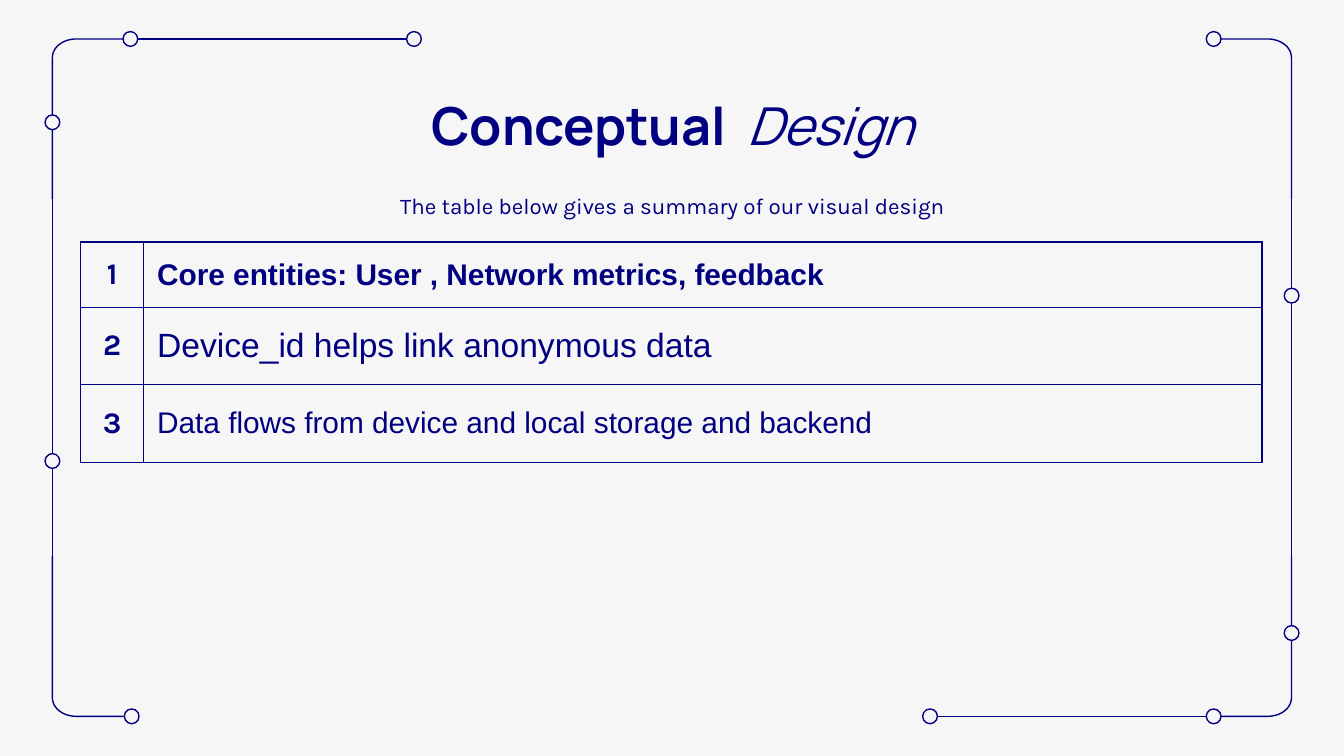
import pptx
import pptx.util
import pptx.dml.color
import pptx.enum.shapes
import pptx.enum.text
import pptx.oxml
import pptx.oxml.ns

Inches = pptx.util.Inches
Pt = pptx.util.Pt
ALIGN = pptx.enum.text.PP_ALIGN
ANCHOR = pptx.enum.text.MSO_ANCHOR

NAVY = "000080"
PAPER = "F6F6F6"
LINE_WIDTH = 0.75
SLIDE_WIDTH = 10
SLIDE_HEIGHT = SLIDE_WIDTH * 9 / 16
LEFT, RIGHT, TOP, BOTTOM = 0.39, 9.61, 0.29, 5.33
DOT_SIZE = 0.11


def color(value):
    return pptx.dml.color.RGBColor.from_string(value)


def style_line(line):
    line.color.rgb = color(NAVY)
    line.width = Pt(LINE_WIDTH)


def add_line(slide, x1, y1, x2, y2):
    connector = slide.shapes.add_connector(
        pptx.enum.shapes.MSO_CONNECTOR.STRAIGHT,
        Inches(x1), Inches(y1), Inches(x2), Inches(y2))
    style_line(connector.line)
    connector._element.spPr.append(pptx.oxml.parse_xml(
        "<a:effectLst %s/>" % pptx.oxml.ns.nsdecls("a")))


def add_dot(slide, x, y):
    dot = slide.shapes.add_shape(
        pptx.enum.shapes.MSO_SHAPE.OVAL,
        Inches(x - DOT_SIZE / 2), Inches(y - DOT_SIZE / 2),
        Inches(DOT_SIZE), Inches(DOT_SIZE))
    dot.shadow.inherit = False
    dot.fill.solid()
    dot.fill.fore_color.rgb = color(PAPER)
    style_line(dot.line)


def bezier(p0, p1, p2, p3, steps=16):
    weights = [((1 - t) ** 3, 3 * t * (1 - t) ** 2, 3 * t * t * (1 - t), t ** 3)
               for t in (step / steps for step in range(steps + 1))]
    return [tuple(sum(w * p[axis] for w, p in zip(weight, (p0, p1, p2, p3)))
                  for axis in (0, 1)) for weight in weights]


def add_corner(slide, x, y, leg):
    """Rounded frame corner; the vertical leg has the given length."""
    across = 1 if x == LEFT else -1
    down = 1 if y == TOP else -1
    offsets = [(0, leg)] + bezier((0, 0.14), (0, 0.06), (0.08, 0), (0.18, 0)) + [(0.53, 0)]
    points = [(Inches(x + across * dx), Inches(y + down * dy)) for dx, dy in offsets]
    builder = slide.shapes.build_freeform(*points[0])
    builder.add_line_segments(points[1:], close=False)
    corner = builder.convert_to_shape()
    corner.shadow.inherit = False
    corner.fill.background()
    style_line(corner.line)


def add_run(paragraph, text, font, size, bold=False, italic=False):
    run = paragraph.add_run()
    run.text = text
    run.font.name = font
    run.font.size = Pt(size)
    run.font.bold = bold
    run.font.italic = italic
    run.font.color.rgb = color(NAVY)


def add_centered_text(slide, top, height, runs):
    box = slide.shapes.add_textbox(Inches(0.79), Inches(top), Inches(8.43), Inches(height))
    frame = box.text_frame
    frame.word_wrap = True
    frame.margin_left = frame.margin_right = Inches(0.1)
    frame.margin_top = frame.margin_bottom = Inches(0.1)
    paragraph = frame.paragraphs[0]
    paragraph.alignment = ALIGN.CENTER
    for run in runs:
        add_run(paragraph, *run)


def set_borders(cell):
    properties = cell._tc.get_or_add_tcPr()
    for position, side in enumerate(("lnL", "lnR", "lnT", "lnB")):
        properties.insert(position, pptx.oxml.parse_xml(
            '<a:%s %s w="%d"><a:solidFill><a:srgbClr val="%s"/></a:solidFill></a:%s>'
            % (side, pptx.oxml.ns.nsdecls("a"), Pt(LINE_WIDTH), NAVY, side)))


def fill_cell(cell, alignment, *run):
    cell.fill.background()
    set_borders(cell)
    cell.vertical_anchor = ANCHOR.MIDDLE
    cell.margin_left = cell.margin_right = Inches(0.1)
    cell.margin_top = cell.margin_bottom = 0
    paragraph = cell.text_frame.paragraphs[0]
    paragraph.alignment = alignment
    add_run(paragraph, *run)


def add_summary_table(slide):
    widths, heights = (0.47, 8.32), (0.49, 0.57, 0.58)
    entries = [
        ("Core entities: User , Network metrics, feedback", 16, True),
        ("Device_id helps link anonymous data", 18, False),
        ("Data flows from device and local storage and backend", 16, False),
    ]
    table = slide.shapes.add_table(
        len(entries), len(widths), Inches(0.6), Inches(1.8),
        Inches(8.8), Inches(sum(heights))).table
    table.first_row = False
    table.horz_banding = False
    for column, width in zip(table.columns, widths):
        column.width = Inches(width)
    for index, (text, size, bold) in enumerate(entries):
        table.rows[index].height = Inches(heights[index])
        fill_cell(table.cell(index, 0), ALIGN.CENTER, str(index + 1), "Karla", 16, True)
        fill_cell(table.cell(index, 1), ALIGN.LEFT, text, "Arial", size, bold)


def add_frame(slide):
    # Sides and the two long rails
    add_line(slide, LEFT, 1.43, LEFT, 4.15)
    add_line(slide, RIGHT, 1.48, RIGHT, 4.2)
    add_line(slide, 1.02, TOP, 3.02, TOP)
    add_line(slide, 6.98, BOTTOM, 8.98, BOTTOM)

    # Rounded corners
    for x in (LEFT, RIGHT):
        for y in (TOP, BOTTOM):
            add_corner(slide, x, y, 1.19)

    # Dots along the frame
    dots = [(0.97, TOP), (3.08, TOP), (9.03, TOP),
            (0.98, BOTTOM), (6.92, BOTTOM), (9.03, BOTTOM),
            (LEFT, 0.91), (LEFT, 3.43), (RIGHT, 2.2), (RIGHT, 4.71)]
    for x, y in dots:
        add_dot(slide, x, y)


def main():
    presentation = pptx.Presentation()
    presentation.slide_width = Inches(SLIDE_WIDTH)
    presentation.slide_height = Inches(SLIDE_HEIGHT)
    slide = presentation.slides.add_slide(presentation.slide_layouts[6])
    slide.background.fill.solid()
    slide.background.fill.fore_color.rgb = color(PAPER)

    add_frame(slide)

    # Heading and introduction
    add_centered_text(slide, 0.59, 0.52, [
        ("Conceptual  ", "Manrope", 28, True),
        ("Design", "Manrope", 28, False, True)])
    add_centered_text(slide, 1.33, 0.47, [
        ("The table below gives a summary of our visual design", "Karla", 12)])

    add_summary_table(slide)
    presentation.save("out.pptx")


if __name__ == "__main__":
    main()
